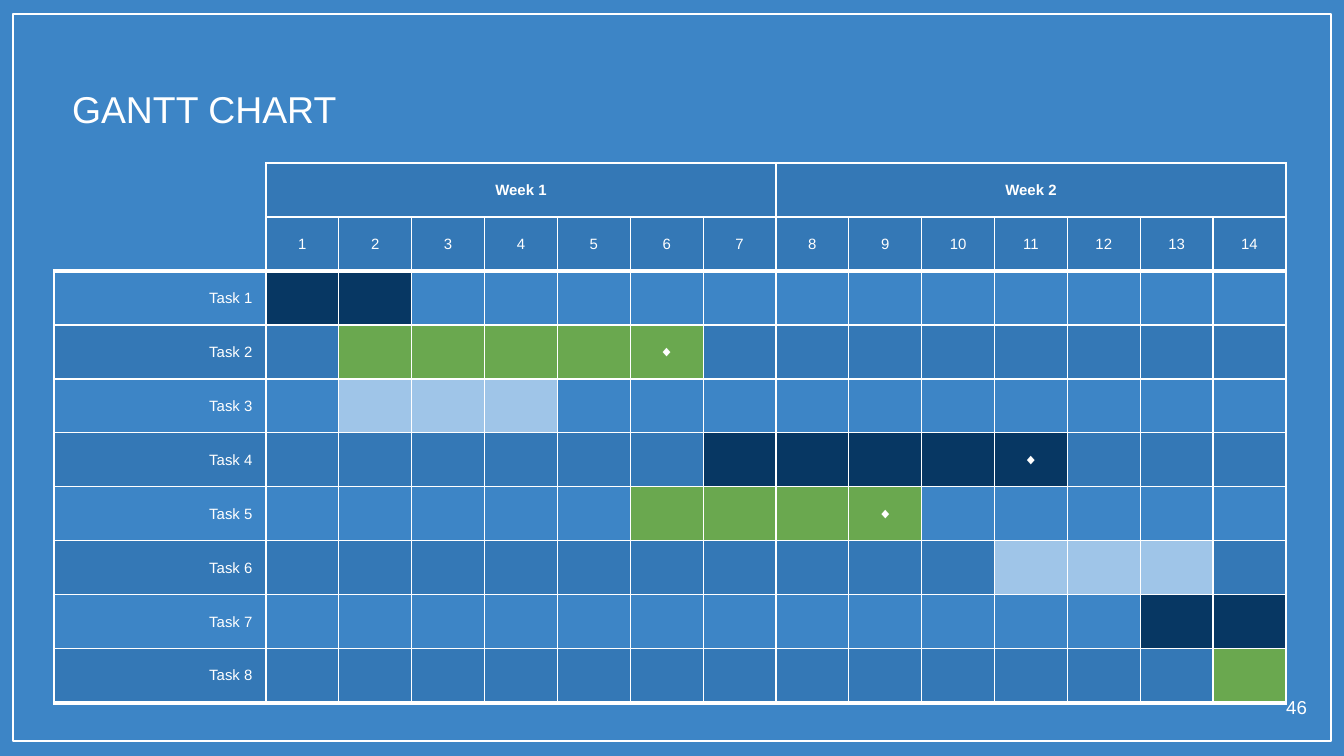
import pptx
import pptx.dml.color
import pptx.enum.shapes
import pptx.enum.text
import pptx.oxml
import pptx.oxml.ns
import pptx.util

PX = 6804  # EMU per px
Pt = pptx.util.Pt
ALIGN = pptx.enum.text.PP_ALIGN
ANCHOR = pptx.enum.text.MSO_ANCHOR
WHITE, SKY, NAVY, GREEN, PALE = "FFFFFF", "3D85C6", "073763", "6AA84F", "9FC5E8"
DAYS = 14
# name, first day, last day, colour, milestone on the last day
TASKS = [
    ("Task 1", 1, 2, NAVY, False),
    ("Task 2", 2, 6, GREEN, True),
    ("Task 3", 2, 4, PALE, False),
    ("Task 4", 7, 11, NAVY, True),
    ("Task 5", 6, 9, GREEN, True),
    ("Task 6", 11, 13, PALE, False),
    ("Task 7", 13, 14, NAVY, False),
    ("Task 8", 14, 14, GREEN, False),
]


def rgb(code):
    return pptx.dml.color.RGBColor.from_string(code)


def set_borders(cell, widths):
    """Draw white borders; widths are points for left, right, top, bottom (0 for none)."""
    tc_pr = cell._tc.get_or_add_tcPr()
    for i, (side, width) in enumerate(zip("LRTB", widths)):
        fill = f'<a:solidFill><a:srgbClr val="{WHITE}"/></a:solidFill>' if width else "<a:noFill/>"
        tc_pr.insert(i, pptx.oxml.parse_xml(
            f'<a:ln{side} {pptx.oxml.ns.nsdecls("a")} w="{Pt(width)}">{fill}</a:ln{side}>'))


prs = pptx.Presentation()
prs.slide_width, prs.slide_height = 1344 * PX, 756 * PX
s = prs.slides.add_slide(prs.slide_layouts[5])
s.background.fill.solid()
s.background.fill.fore_color.rgb = rgb(SKY)

# Frame
frame = s.shapes.add_shape(pptx.enum.shapes.MSO_SHAPE.RECTANGLE,
                           13 * PX, 14 * PX, 1318 * PX, 727 * PX)
frame.shadow.inherit = False
frame.fill.background()
frame.line.color.rgb = rgb(WHITE)
frame.line.width = Pt(0.75)

# Title and page number
title = s.shapes.title
title.left, title.top, title.width, title.height = 59 * PX, 73 * PX, 1210 * PX, 60 * PX
number = s.shapes.add_textbox(1253 * PX, 683 * PX, 67 * PX, 43 * PX)
for sp, text, size, align in [(title, "GANTT CHART", 20, ALIGN.LEFT),
                              (number, "46", 10, ALIGN.RIGHT)]:
    tf = sp.text_frame
    tf.word_wrap = True
    tf.auto_size = pptx.enum.text.MSO_AUTO_SIZE.NONE
    tf.vertical_anchor = ANCHOR.TOP
    tf.margin_left = tf.margin_right = tf.margin_top = tf.margin_bottom = 13 * PX
    tf.text = text
    p = tf.paragraphs[0]
    p.alignment = align
    p.font.name, p.font.size = "Arial", Pt(size)
    p.font.color.rgb = rgb(WHITE)

# Gantt table: two header rows, then one row per task
rows = len(TASKS) + 2
gf = s.shapes.add_table(rows, DAYS + 1, 54 * PX, 163 * PX, 1232 * PX, 54 * rows * PX)
table = gf.table
table.first_row = table.horz_banding = False
for i, column in enumerate(table.columns):
    column.width = 1020 * PX // DAYS if i else 212 * PX
for row in table.rows:
    row.height = 54 * PX

texts = {(0, 1): "Week 1", (0, 8): "Week 2"}
for day in range(1, DAYS + 1):
    texts[1, day] = str(day)
bars = {}
for r, (name, first, last, color, milestone) in enumerate(TASKS, start=2):
    texts[r, 0] = name
    if milestone:
        texts[r, last] = "◆"
    for day in range(first, last + 1):
        bars[r, day] = color

for r in range(rows):
    for c in range(DAYS + 1):
        cell = table.cell(r, c)
        corner = r < 2 and c == 0
        header = r < 2 and c > 0
        if (r, c) in bars:
            cell.fill.solid()
            cell.fill.fore_color.rgb = rgb(bars[r, c])
        elif header or (r > 2 and r % 2):
            cell.fill.solid()
            cell.fill.fore_color.rgb = rgb(NAVY)
            tint = cell._tc.tcPr.find(".//" + pptx.oxml.ns.qn("a:srgbClr"))
            tint.append(pptx.oxml.parse_xml(
                f'<a:alpha {pptx.oxml.ns.nsdecls("a")} val="16000"/>'))
        else:
            cell.fill.background()

        side = 0 if corner else 0.75
        top = 2.25 if r == 2 else side
        bottom = 2.25 if r in (1, rows - 1) else side
        set_borders(cell, (side, 0.75, top, bottom))

        cell.vertical_anchor = ANCHOR.MIDDLE
        cell.text = texts.get((r, c), "")
        p = cell.text_frame.paragraphs[0]
        p.alignment = ALIGN.CENTER if c else ALIGN.RIGHT
        p.font.name, p.font.size, p.font.bold = "Arial", Pt(8), r == 0
        p.font.color.rgb = rgb(WHITE)

for first in (1, 8):
    table.cell(0, first).merge(table.cell(0, first + 6))

prs.save("out.pptx")
